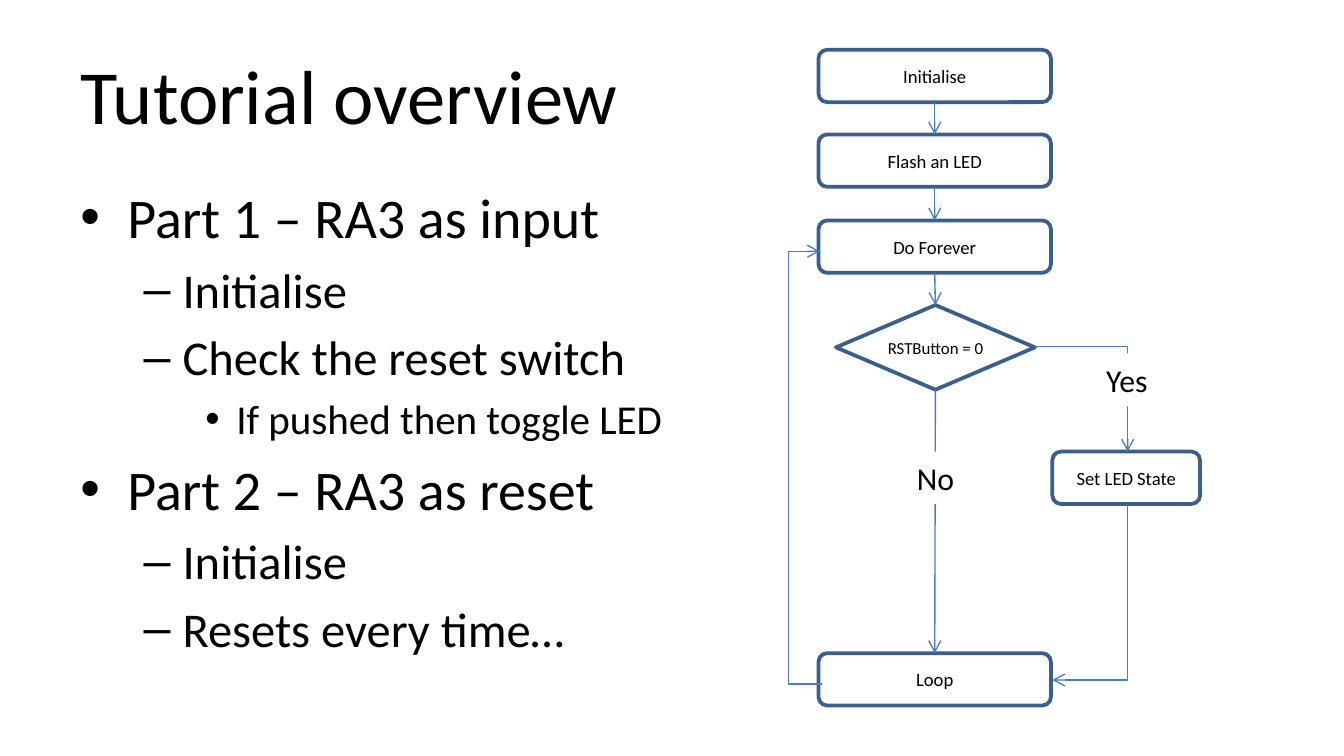
from dataclasses import dataclass

from lxml import etree
from pptx import Presentation
from pptx.dml.color import RGBColor
from pptx.enum.shapes import MSO_CONNECTOR, MSO_SHAPE
from pptx.enum.text import MSO_ANCHOR, PP_ALIGN
from pptx.oxml.ns import qn
from pptx.util import Inches, Pt

STEP = MSO_SHAPE.FLOWCHART_ALTERNATE_PROCESS
TEST = MSO_SHAPE.FLOWCHART_DECISION
RECT = MSO_SHAPE.RECTANGLE
STRAIGHT, ELBOW = MSO_CONNECTOR.STRAIGHT, MSO_CONNECTOR.ELBOW
CENTER, LEFT = PP_ALIGN.CENTER, PP_ALIGN.LEFT
MIDDLE, TOP = MSO_ANCHOR.MIDDLE, MSO_ANCHOR.TOP
UP, DOWN = 0, 2


@dataclass(frozen=True)
class Theme:
    font: str = "Calibri"
    mark: str = "Arial"
    ink: RGBColor = RGBColor(0, 0, 0)
    paper: RGBColor = RGBColor(255, 255, 255)
    edge: RGBColor = RGBColor(0x3A, 0x5F, 0x8C)
    wire: RGBColor = RGBColor(0x4B, 0x7E, 0xBC)
    title: int = 41
    levels: tuple = (30, 26, 22)
    label: int = 17
    step: int = 10
    test: int = 9


THEME = Theme()
BULLETS = ((0.35, 0.35, "•"), (0.76, 0.29, "–"), (1.16, 0.23, "•"))
POINTS = (
    (0, "Part 1 – RA3 as input"),
    (1, "Initialise"),
    (1, "Check the reset switch"),
    (2, "If pushed then toggle LED"),
    (0, "Part 2 – RA3 as reset"),
    (1, "Initialise"),
    (1, "Resets every time…"),
)


def write(para, text, size, align=LEFT):
    para.text = text
    para.alignment = align
    para.font.name = THEME.font
    para.font.size = Pt(size)
    para.font.color.rgb = THEME.ink


def add_text(slide, box, anchor):
    frame = slide.shapes.add_textbox(*map(Inches, box)).text_frame
    frame.word_wrap = True
    frame.vertical_anchor = anchor
    return frame


def add_points(slide, box):
    frame = add_text(slide, box, TOP)
    for i, (level, text) in enumerate(POINTS):
        para = frame.add_paragraph() if i else frame.paragraphs[0]
        size = THEME.levels[level]
        write(para, text, size)
        para.level = level
        para.space_before = Pt(size * 0.2)
        left, hang, mark = BULLETS[level]
        props = para._p.get_or_add_pPr()
        props.set("marL", str(Inches(left)))
        props.set("indent", str(-Inches(hang)))
        font = etree.Element(qn("a:buFont"), typeface=THEME.mark)
        props.find(qn("a:spcBef")).addnext(font)
        font.addnext(etree.Element(qn("a:buChar"), char=mark))


def add_node(slide, kind, box, text, size):
    node = slide.shapes.add_shape(kind, *map(Inches, box))
    node.shadow.inherit = False
    node.fill.solid()
    node.fill.fore_color.rgb = THEME.paper
    node.line.color.rgb = THEME.edge
    node.line.width = Pt(2)
    frame = node.text_frame
    frame.vertical_anchor = MIDDLE
    if kind == TEST:
        frame.margin_left = frame.margin_right = 0
        frame.margin_top = frame.margin_bottom = 0
    write(frame.paragraphs[0], text, size, CENTER)
    return node


def add_label(slide, box, text):
    label = add_node(slide, RECT, box, text, THEME.label)
    label.line.fill.background()
    label.text_frame.word_wrap = False


def add_wire(slide, kind, start, end):
    wire = slide.shapes.add_connector(kind, *map(Inches, start + end))
    wire.line.color.rgb = THEME.wire
    wire.line.width = Pt(0.75)
    etree.SubElement(wire.line._get_or_add_ln(), qn("a:tailEnd"), type="arrow")
    etree.SubElement(wire._element.spPr, qn("a:effectLst"))
    return wire


def join(slide, first, last):
    wire = add_wire(slide, STRAIGHT, (0, 0), (1, 1))
    wire.begin_connect(first, DOWN)
    wire.end_connect(last, UP)


def add_corner(slide, start, end, turned=False):
    if turned:
        mid_x, mid_y = (start[0] + end[0]) / 2, (start[1] + end[1]) / 2
        half_w, half_h = (end[1] - start[1]) / 2, (start[0] - end[0]) / 2
        start = mid_x - half_w, mid_y - half_h
        end = mid_x + half_w, mid_y + half_h
    props = add_wire(slide, ELBOW, start, end)._element.spPr
    props.find(qn("a:prstGeom")).set("prst", "bentConnector2")
    if turned:
        props.find(qn("a:xfrm")).set("rot", "5400000")


def add_return(slide, start, end, reach):
    wire = add_wire(slide, ELBOW, start, end)
    ratio = round((start[0] - reach) / (start[0] - end[0]) * 100000)
    guides = wire._element.spPr.find(qn("a:prstGeom")).find(qn("a:avLst"))
    etree.SubElement(guides, qn("a:gd"), name="adj1", fmla=f"val {ratio}")


def add_flow(slide):
    steps = (("Initialise", 0.37), ("Flash an LED", 1), ("Do Forever", 1.64), ("Loop", 4.86))
    first, flash, head, loop = [
        add_node(slide, STEP, (6.09, top, 1.73, 0.39), text, THEME.step)
        for text, top in steps
    ]
    test = add_node(slide, TEST, (6.22, 2.27, 1.48, 0.63), "RSTButton = 0", THEME.test)
    add_node(slide, STEP, (7.83, 3.36, 1.1, 0.39), "Set LED State", THEME.step)
    chain = (first, flash, head, test, loop)
    for above, below in zip(chain, chain[1:]):
        join(slide, above, below)
    add_corner(slide, (7.7, 2.58), (8.39, 3.36))
    add_corner(slide, (8.39, 3.76), (7.83, 5.06), turned=True)
    add_return(slide, (6.12, 5.09), (6.1, 1.87), 5.87)
    add_label(slide, (6.72, 3.36, 0.48, 0.39), "No")
    add_label(slide, (8.13, 2.63, 0.51, 0.39), "Yes")


def main():
    deck = Presentation()
    deck.slide_width = Inches(10)
    deck.slide_height = deck.slide_width * 9 // 16
    slide = deck.slides.add_slide(deck.slide_layouts[6])
    title = add_text(slide, (0.5, 0.23, 9, 0.94), MIDDLE)
    write(title.paragraphs[0], "Tutorial overview", THEME.title)
    add_points(slide, (0.5, 1.31, 5.21, 3.71))
    add_flow(slide)
    deck.save("out.pptx")


if __name__ == "__main__":
    main()
